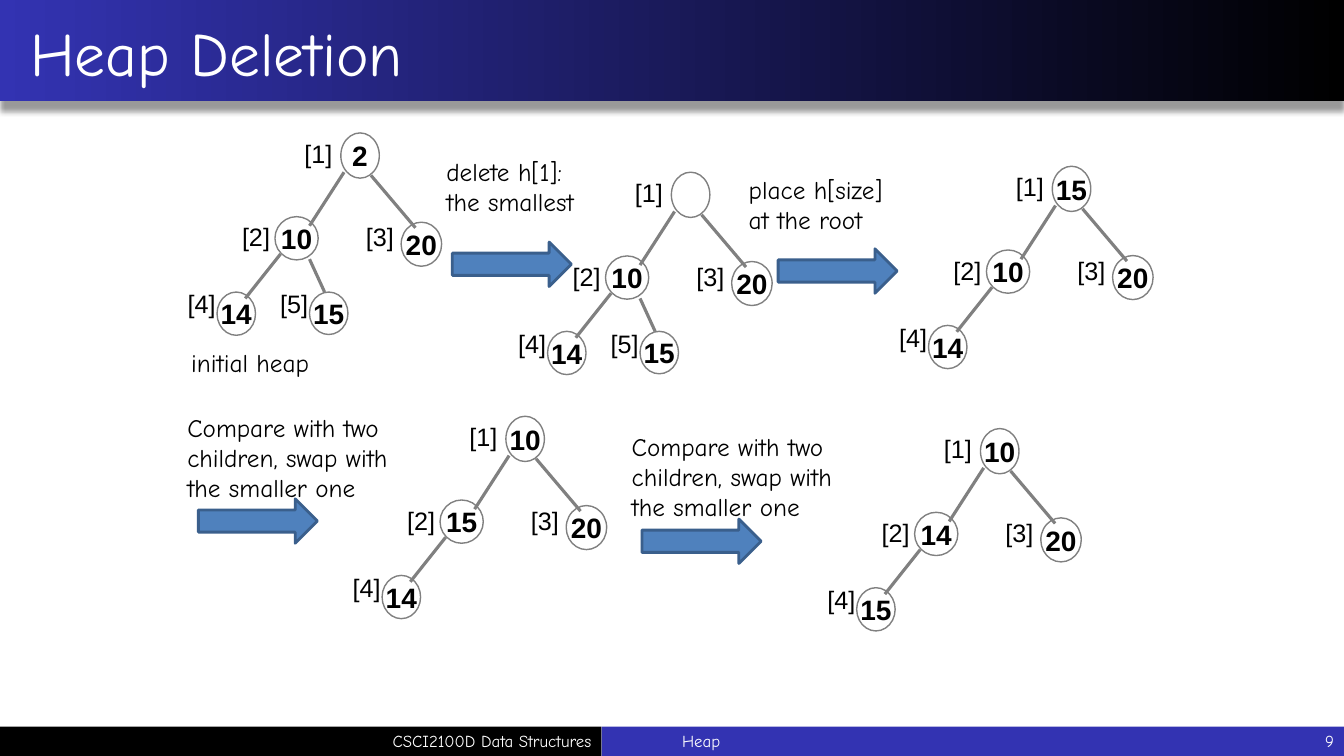
import lxml.etree
import pptx
import pptx.dml.color
import pptx.enum.shapes
import pptx.enum.text
import pptx.oxml.ns
import pptx.util

Cm, Pt = pptx.util.Cm, pptx.util.Pt
RGB = pptx.dml.color.RGBColor.from_string
qn = pptx.oxml.ns.qn
SHAPE = pptx.enum.shapes.MSO_SHAPE
ALIGN = pptx.enum.text.PP_ALIGN
MIDDLE = pptx.enum.text.MSO_ANCHOR.MIDDLE

TITLE = "Heap Deletion"
COURSE = "CSCI2100D Data Structures"
FOOTERS = [("Heap", 16.94, 14.94, ALIGN.LEFT), ("9", 29.63, 4.24, ALIGN.RIGHT)]

HEAPS = [
    ((8.59, 3.35), ["2", "10", "20", "14", "15"]),
    ((16.92, 4.34), ["", "10", "20", "14", "15"]),
    ((26.52, 4.19), ["15", "10", "20", "14"]),
    ((12.75, 10.49), ["10", "15", "20", "14"]),
    ((24.71, 10.8), ["10", "14", "20", "15"]),
]
NODES = [
    ((0, 0, 0.97, 1.14), (-1.17, 0)),
    ((-1.66, 2.11, 1.09, 1.09), (-2.74, 2.11)),
    ((1.52, 2.25, 1.02, 1.11), (0.38, 2.11)),
    ((-3.12, 4.01, 0.97, 1.09), (-4.11, 3.8)),
    ((-0.79, 4.01, 0.97, 1.07), (-1.78, 3.8)),
]
EDGES = [
    (0.08, 0.99, -0.79, 2.34),
    (0.76, 1.07, 1.88, 2.39),
    (-1.52, 3.05, -2.41, 4.17),
    (-0.79, 3.18, -0.41, 4.01),
]
SWAP = "Compare with two children, swap with the smaller one"
CAPTIONS = [
    ("initial heap", 4.57, 8.64, 3.8, 1.02),
    ("delete h[1]: the smallest", 11, 3.81, 4.32, 1.8),
    ("place h[size] at the root", 18.62, 4.27, 4.29, 1.8),
    (SWAP, 4.47, 10.26, 6.4, 2.57),
    (SWAP, 15.67, 10.74, 6.4, 2.57),
]
ARROWS = [(11.4, 6.1), (19.61, 6.27), (5, 12.57), (16.18, 13.08)]
ARROW_SIZE = (3, 1.12)


class Theme:
    blue, black, white = RGB("3333B2"), RGB("000000"), RGB("FFFFFF")
    gray, arrow, arrow_edge = RGB("808080"), RGB("4F81BD"), RGB("3A5F8C")
    hand, sans = "Comic Neue", "Arial"
    title, key, label, footer = Pt(44), Pt(20), Pt(18), Pt(12)


def write(shape, text, size, color, name=Theme.hand, align=ALIGN.LEFT, bold=False):
    tf = shape.text_frame
    tf.text = text
    p = tf.paragraphs[0]
    p.alignment = align
    p.font.name, p.font.size, p.font.bold = name, size, bold
    p.font.color.rgb = color
    return tf


def add_shape(shapes, kind, box, fill=None, line=None, width=1):
    shape = shapes.add_shape(kind, *map(Cm, box))
    shape.shadow.inherit = False
    if fill is None:
        shape.fill.background()
    else:
        shape.fill.solid()
        shape.fill.fore_color.rgb = fill
    if line is None:
        shape.line.fill.background()
    else:
        shape.line.color.rgb = line
        shape.line.width = Pt(width)
    return shape


def add_header(s):
    bar = add_shape(s.shapes, SHAPE.RECTANGLE, (0, -0.03, 33.87, 2.57), Theme.blue)
    bar.fill.gradient()
    bar.fill.gradient_angle = 0
    for stop, color in zip(bar.fill.gradient_stops, (Theme.blue, Theme.black)):
        stop.color.rgb = color
    effects = bar.element.spPr.find(qn("a:effectLst"))
    shadow = lxml.etree.SubElement(effects, qn("a:outerShdw"), blurRad=str(Pt(4)),
                                   dist=str(Pt(7)), dir="5400000", rotWithShape="0")
    color = lxml.etree.SubElement(shadow, qn("a:srgbClr"), val=str(Theme.black))
    lxml.etree.SubElement(color, qn("a:alpha"), val="40000")

    title = s.shapes.title
    title.element.getparent().append(title.element)
    title.left, title.top, title.width, title.height = map(Cm, (0, 0.05, 33.87, 2.49))
    tf = write(title, TITLE, Theme.title, Theme.white)
    tf.auto_size = pptx.enum.text.MSO_AUTO_SIZE.NONE
    tf.vertical_anchor = MIDDLE
    tf.margin_left = Cm(0.76)


def add_footer(s):
    add_shape(s.shapes, SHAPE.RECTANGLE, (15.16, 18.31, 18.71, 0.74), Theme.blue)
    course = add_shape(s.shapes, SHAPE.RECTANGLE, (0, 18.31, 15.16, 0.74), Theme.black)
    write(course, COURSE, Theme.footer, Theme.white, align=ALIGN.RIGHT)
    for text, left, width, align in FOOTERS:
        box = s.shapes.add_textbox(Cm(left), Cm(18.31), Cm(width), Cm(0.74))
        tf = write(box, text, Theme.footer, Theme.white, align=align)
        tf.word_wrap = True
        tf.vertical_anchor = MIDDLE


def add_heap(s, root, keys):
    x, y = root
    shapes = s.shapes.add_group_shape().shapes
    for i, (key, (node, label)) in enumerate(zip(keys, NODES), 1):
        left, top, width, height = node
        oval = add_shape(shapes, SHAPE.OVAL, (x + left, y + top, width, height), line=Theme.gray)
        tf = write(oval, key, Theme.key, Theme.black, Theme.sans, ALIGN.CENTER, True)
        tf.margin_left = tf.margin_right = tf.margin_top = tf.margin_bottom = 0
        tf.vertical_anchor = MIDDLE
        tf.word_wrap = False
        box = shapes.add_textbox(Cm(x + label[0]), Cm(y + label[1]), Cm(1.27), Cm(1.02))
        write(box, f"[{i}]", Theme.label, Theme.black, Theme.sans).word_wrap = False
    for x1, y1, x2, y2 in EDGES[:len(keys) - 1]:
        edge = shapes.add_connector(pptx.enum.shapes.MSO_CONNECTOR.STRAIGHT,
                                    Cm(x + x1), Cm(y + y1), Cm(x + x2), Cm(y + y2))
        edge.line.color.rgb = Theme.gray
        edge.line.width = Pt(2.25)
        lxml.etree.SubElement(edge.element.spPr, qn("a:effectLst"))


def main():
    prs = pptx.Presentation()
    prs.slide_width, prs.slide_height = Cm(33.87), Cm(19.05)
    s = prs.slides.add_slide(prs.slide_layouts[5])
    add_header(s)
    add_footer(s)
    for root, keys in HEAPS:
        add_heap(s, root, keys)
    for corner in ARROWS:
        add_shape(s.shapes, SHAPE.RIGHT_ARROW, corner + ARROW_SIZE,
                  Theme.arrow, Theme.arrow_edge, 2)
    for text, *box in CAPTIONS:
        caption = s.shapes.add_textbox(*map(Cm, box))
        write(caption, text, Theme.label, Theme.black).word_wrap = True
    prs.save("out.pptx")


if __name__ == "__main__":
    main()
